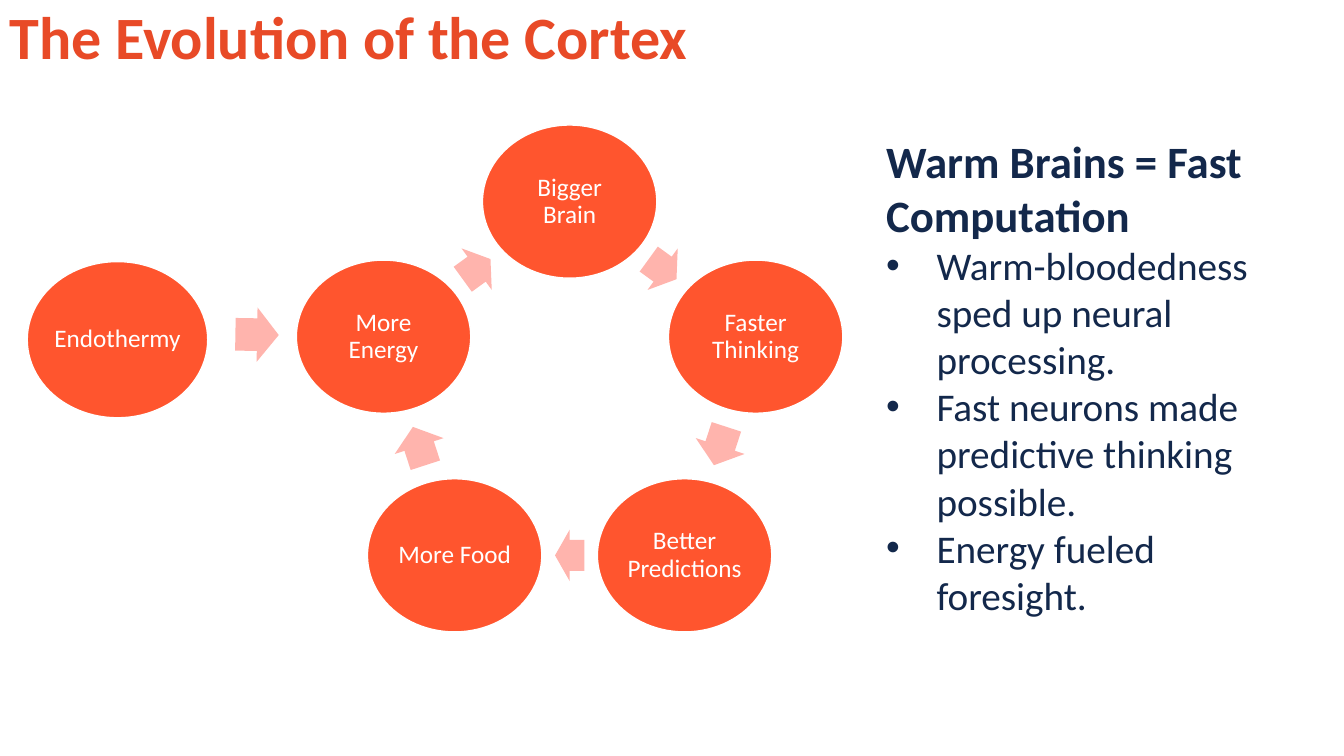
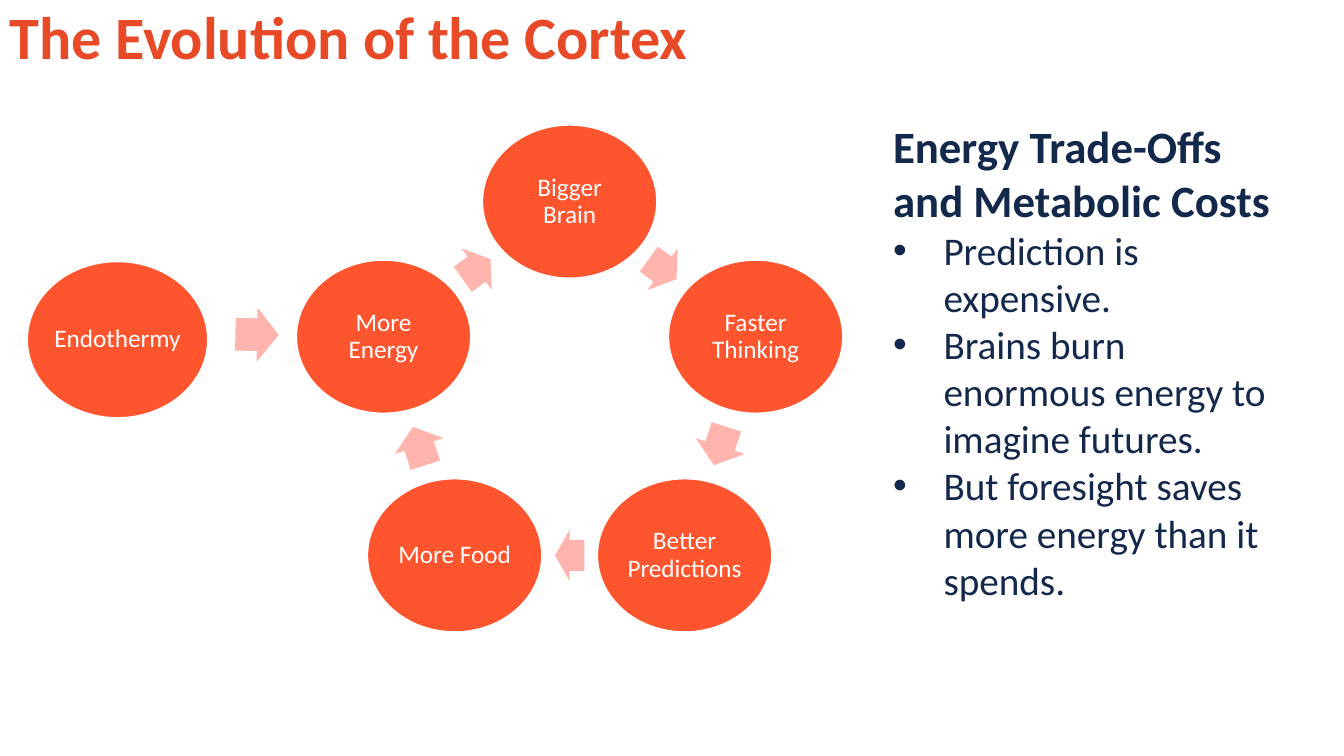
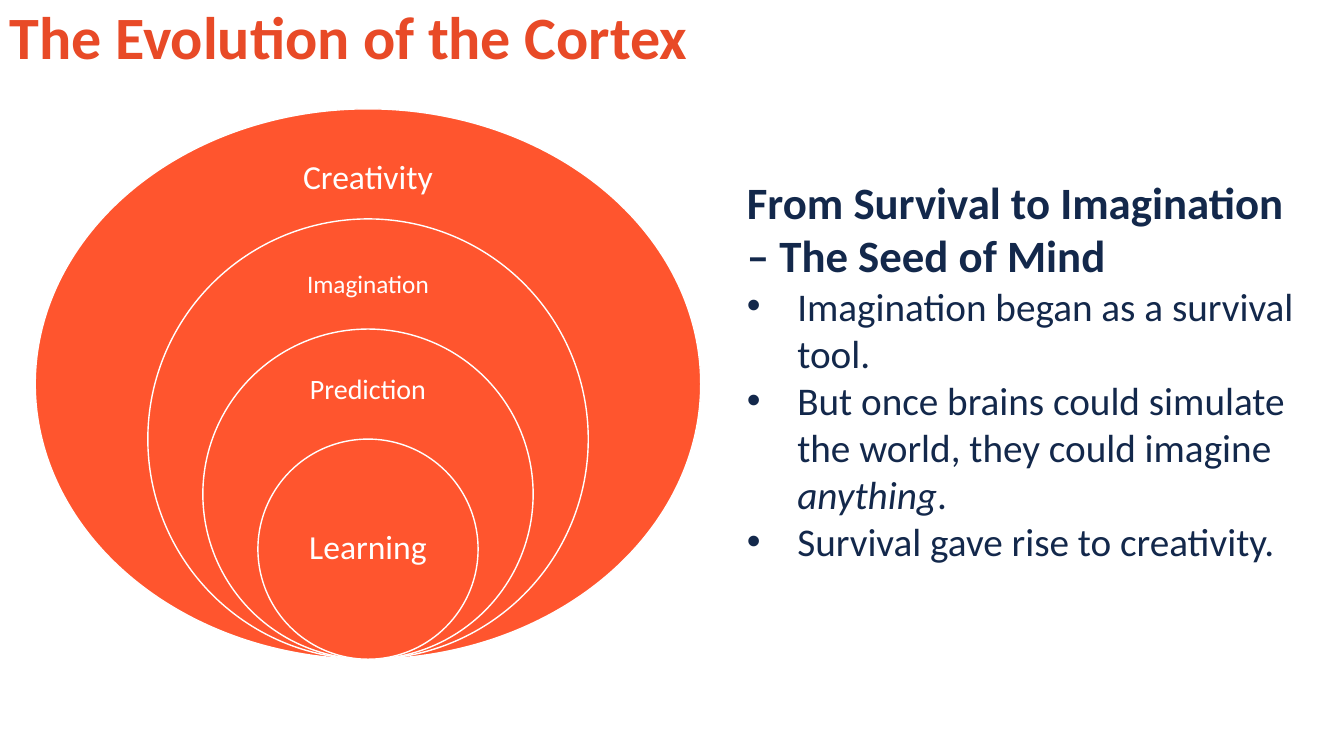
from math import cos, radians, sin

from lxml.etree import SubElement
from pptx import Presentation
from pptx.dml.color import RGBColor
from pptx.enum.shapes import MSO_SHAPE as Shape
from pptx.enum.text import MSO_ANCHOR as Anchor, MSO_AUTO_SIZE as AutoSize, PP_ALIGN as Align
from pptx.oxml.ns import qn
from pptx.util import Inches, Pt

COLORS = {"title": "E84A27", "body": "13284B", "node": "FF552E",
          "arrow": "FFB4AD", "white": "FFFFFF"}
FONT = "Calibri"
TITLE = "The Evolution of the Cortex"
TITLE_BOX = (0, 0, 12.56, 0.8)

# Cycle diagram: box, sizes and labels, clockwise from the top
CYCLE_BOX = (0.27, 1.24, 8.09, 5.03)
NODE_SIZE = (1.73, 1.52)
START_SIZE = (1.79, 1.55)
ORBIT = 1.94
CYCLE = ["Bigger Brain", "Faster Thinking", "Better Predictions", "More Food", "More Energy"]
ARROW_LENGTHS = [0.34, 0.4, 0.29, 0.4, 0.34]

# Nested rings: label, text size, distance from ring top to label centre
RINGS_BOX = (0.35, 1.08, 6.6, 5.46)
RINGS = [("Creativity", 24, 0.69), ("Imagination", 18, 0.66),
         ("Prediction", 20, 0.61), ("Learning", 24, 1.09)]

# Notes beside the diagrams; asterisks enclose italics
NOTES = [
    ((8.69, 1.28, 4.22, 4.95), "Warm Brains = Fast Computation", [
        "Warm-bloodedness sped up neural processing.",
        "Fast neurons made predictive thinking possible.",
        "Energy fueled foresight."]),
    ((8.76, 1.13, 4.16, 4.95), "Energy Trade-Offs and Metabolic Costs", [
        "Prediction is expensive.",
        "Brains burn enormous energy to imagine futures.",
        "But foresight saves more energy than it spends."]),
    ((7.31, 1.68, 5.67, 4.01), "From Survival to Imagination – The Seed of Mind", [
        "Imagination began as a survival tool.",
        "But once brains could simulate the world, they could imagine *anything*.",
        "Survival gave rise to creativity."]),
]


def color(name):
    return RGBColor.from_string(COLORS[name])


def set_values(target, values):
    for name, value in values.items():
        setattr(target, name, value)


def add_run(paragraph, text, size, color_name, bold=False, italic=False):
    run = paragraph.add_run()
    run.text = text
    set_values(run.font, {"name": FONT, "size": Pt(size), "bold": bold, "italic": italic})
    run.font.color.rgb = color(color_name)


def add_text_box(shapes, box, **frame_values):
    frame = shapes.add_textbox(*map(Inches, box)).text_frame
    set_values(frame, {"word_wrap": True, **frame_values})
    return frame


def add_shape(shapes, kind, center, size, fill, outline=None):
    """Add a filled preset shape around its centre."""
    left, top = (c - s / 2 for c, s in zip(center, size))
    shape = shapes.add_shape(kind, *map(Inches, (left, top, *size)))
    shape.shadow.inherit = False
    shape.fill.solid()
    shape.fill.fore_color.rgb = color(fill)
    if outline:
        shape.line.color.rgb = color(outline)
        shape.line.width = Pt(1)
    else:
        shape.line.fill.background()
    return shape


def add_label(frame, text, size):
    """Write a centred white label into a text frame."""
    sides = ("margin_left", "margin_top", "margin_right", "margin_bottom")
    set_values(frame, {"vertical_anchor": Anchor.MIDDLE, **dict.fromkeys(sides, Inches(0.03))})
    paragraph = frame.paragraphs[0]
    set_values(paragraph, {"alignment": Align.CENTER, "line_spacing": 0.9})
    add_run(paragraph, text, size, "white")


def add_node(shapes, center, size, text):
    node = add_shape(shapes, Shape.OVAL, center, size, "node", "white")
    node.text_frame.word_wrap = " " in text
    add_label(node.text_frame, text, 18)


def add_arrow(shapes, center, size, rotation):
    arrow = add_shape(shapes, Shape.RIGHT_ARROW, center, size, "arrow")
    arrow.adjustments[0] = 0.6
    arrow.rotation = rotation


def add_title(slide, box):
    frame = add_text_box(slide.shapes, box, vertical_anchor=Anchor.MIDDLE)
    paragraph = frame.paragraphs[0]
    paragraph.line_spacing = 0.9
    add_run(paragraph, TITLE, 42.9, "title", bold=True)


def add_notes(slide, box, heading, bullets):
    frame = add_text_box(slide.shapes, box, auto_size=AutoSize.SHAPE_TO_FIT_TEXT)
    add_run(frame.paragraphs[0], heading, 32, "body", bold=True)
    for text in bullets:
        paragraph = frame.add_paragraph()
        properties = paragraph._p.get_or_add_pPr()
        properties.set("marL", str(Inches(0.5)))
        properties.set("indent", str(Inches(-0.5)))
        SubElement(properties, qn("a:buFont"), typeface="Arial")
        SubElement(properties, qn("a:buChar"), char="•")
        for index, part in enumerate(text.split("*")):
            add_run(paragraph, part, 28, "body", italic=index % 2 == 1)


def add_cycle(slide, box):
    """Draw the starting node and the ring of nodes that it feeds."""
    left, top, width, height = box
    shapes = slide.shapes.add_group_shape().shapes
    middle_x = left + width - NODE_SIZE[0] / 2 - ORBIT * sin(radians(72))
    middle_y = top + NODE_SIZE[1] / 2 + ORBIT
    step = 360 / len(CYCLE)

    def on_orbit(angle, radius):
        return (middle_x + radius * sin(radians(angle)),
                middle_y - radius * cos(radians(angle)))

    # Nodes on the orbit, each arrow halfway to the next node
    for index, (text, length) in enumerate(zip(CYCLE, ARROW_LENGTHS)):
        angle = index * step
        add_node(shapes, on_orbit(angle, ORBIT), NODE_SIZE, text)
        halfway = on_orbit(angle + step / 2, ORBIT * cos(radians(step / 2)))
        add_arrow(shapes, halfway, (length, 0.51), angle + step / 2)

    # Starting node and its arrow
    add_node(shapes, (left + START_SIZE[0] / 2, top + 2.13), START_SIZE, "Endothermy")
    add_arrow(shapes, (left + 2.28, top + 2.08), (0.43, 0.54), 1)


def add_rings(slide, box):
    """Draw nested rings that all touch the bottom of the box."""
    left, top, width, height = box
    shapes = slide.shapes.add_group_shape().shapes
    middle_x = left + width / 2
    for index, (text, size, offset) in enumerate(RINGS):
        diameter = height * (1 - 0.2 * index)
        ring_top = top + height - diameter
        ring_size = (diameter if index else width, diameter)
        add_shape(shapes, Shape.OVAL, (middle_x, ring_top + diameter / 2),
                  ring_size, "node", "white")
        label_box = (middle_x - 0.9, ring_top + offset - 0.4, 1.8, 0.8)
        add_label(add_text_box(shapes, label_box), text, size)


def main():
    presentation = Presentation()
    presentation.slide_width = Inches(13.33)
    presentation.slide_height = Inches(7.5)
    diagrams = [(add_cycle, CYCLE_BOX), (add_cycle, CYCLE_BOX), (add_rings, RINGS_BOX)]
    for notes, (add_diagram, box) in zip(NOTES, diagrams):
        slide = presentation.slides.add_slide(presentation.slide_layouts[6])
        add_title(slide, TITLE_BOX)
        add_notes(slide, *notes)
        add_diagram(slide, box)
    presentation.save("out.pptx")


if __name__ == "__main__":
    main()
